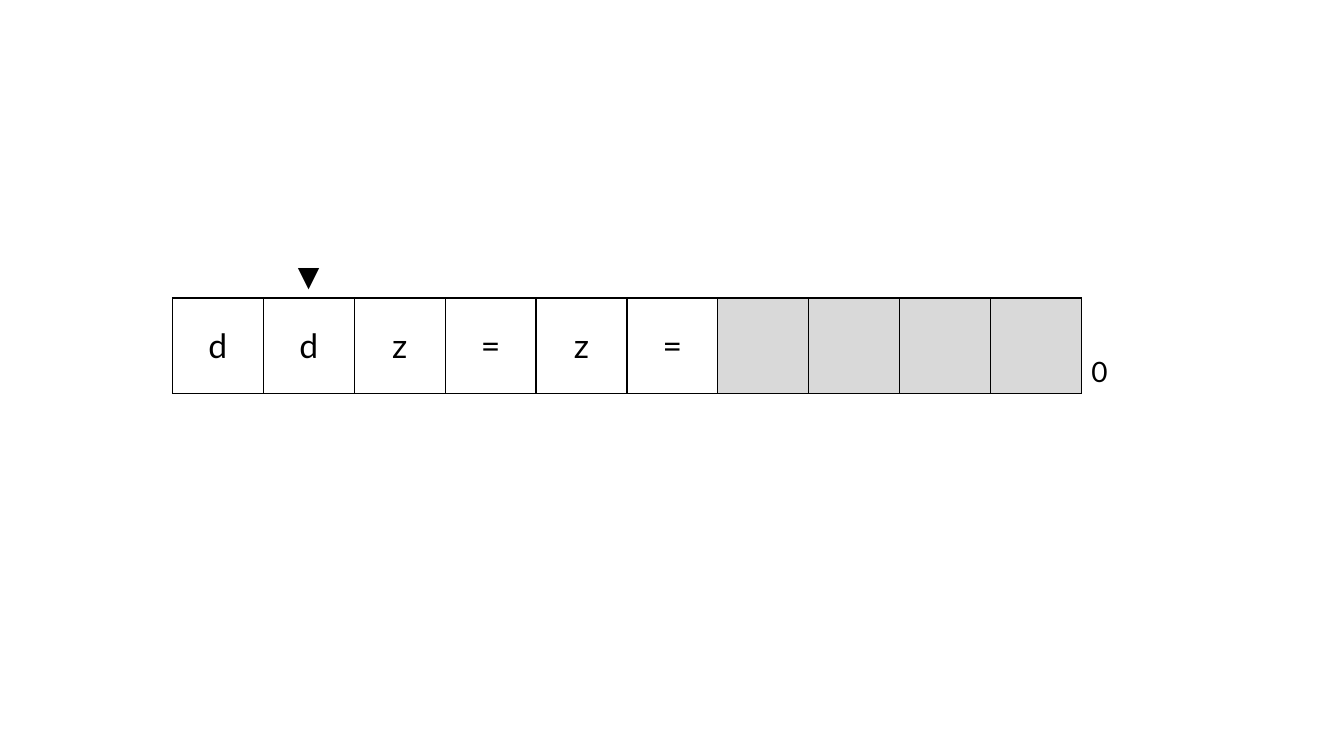
from pptx import Presentation
from pptx import util as u
from pptx.dml.color import RGBColor
from pptx.enum import text
from pptx.oxml.ns import qn
from lxml import etree

COLORS = {"ink": "000000", "filled": "FFFFFF", "free": "D9D9D9"}
SYMBOLS = ["d", "d", "z", "=", "z", "="]
TAPE_LENGTH = 10
HEAD_POSITION = 1
STEP_COUNT = "0"


def write(cell, content, size=24, align=text.PP_ALIGN.CENTER,
          anchor=text.MSO_ANCHOR.MIDDLE, color="ink", font="Lato"):
    cell.vertical_anchor = anchor
    paragraph = cell.text_frame.paragraphs[0]
    paragraph.alignment = align
    run = paragraph.add_run()
    run.text = content
    run.font.size = u.Pt(size)
    run.font.name = font
    run.font.color.rgb = RGBColor.from_string(COLORS[color])


class TapeSlide:
    def __init__(self, deck):
        self.slide = deck.slides.add_slide(deck.slide_layouts[6])
        self.border_width = u.Pt(1)

    def grid(self, left, top, width, row_heights, column_count):
        """Add a plain table with equal columns."""
        grid = self.slide.shapes.add_table(
            len(row_heights), column_count, u.Inches(left), u.Inches(top),
            u.Inches(width), u.Inches(sum(row_heights))).table
        grid.first_row = False
        grid.horz_banding = False
        for row, height in zip(grid.rows, row_heights):
            row.height = u.Inches(height)
        return grid

    def cell(self, cell, borders="", fill=None):
        """Draw the named sides (L, R, T, B) and fill the cell."""
        properties = cell._tc.get_or_add_tcPr()
        for side in "LRTB":
            line = etree.SubElement(properties, qn(f"a:ln{side}"),
                                    w=str(self.border_width))
            if side in borders:
                solid = etree.SubElement(line, qn("a:solidFill"))
                etree.SubElement(solid, qn("a:srgbClr"), val=COLORS["ink"])
            else:
                etree.SubElement(line, qn("a:noFill"))
        if fill:
            cell.fill.solid()
            cell.fill.fore_color.rgb = RGBColor.from_string(COLORS[fill])
        else:
            cell.fill.background()


def main():
    deck = Presentation()
    deck.slide_width = u.Inches(13.33)
    deck.slide_height = u.Inches(7.5)
    page = TapeSlide(deck)
    tape = page.grid(1.71, 2.52, 9.92, [0.41, 0.95], TAPE_LENGTH + 1)

    # Tape cells, with the row for the head above them
    for position in range(TAPE_LENGTH):
        used = position < len(SYMBOLS)
        page.cell(tape.cell(0, position), "B")
        page.cell(tape.cell(1, position), "LRTB", "filled" if used else "free")
        if used:
            write(tape.cell(1, position), SYMBOLS[position])

    # Head marker
    write(tape.cell(0, HEAD_POSITION), "▼", size=20,
          anchor=text.MSO_ANCHOR.BOTTOM)

    # Step counter after the tape
    page.cell(tape.cell(0, TAPE_LENGTH))
    page.cell(tape.cell(1, TAPE_LENGTH), "L")
    write(tape.cell(1, TAPE_LENGTH), STEP_COUNT, size=20,
          align=text.PP_ALIGN.LEFT, anchor=text.MSO_ANCHOR.BOTTOM)

    deck.save("out.pptx")


if __name__ == "__main__":
    main()
